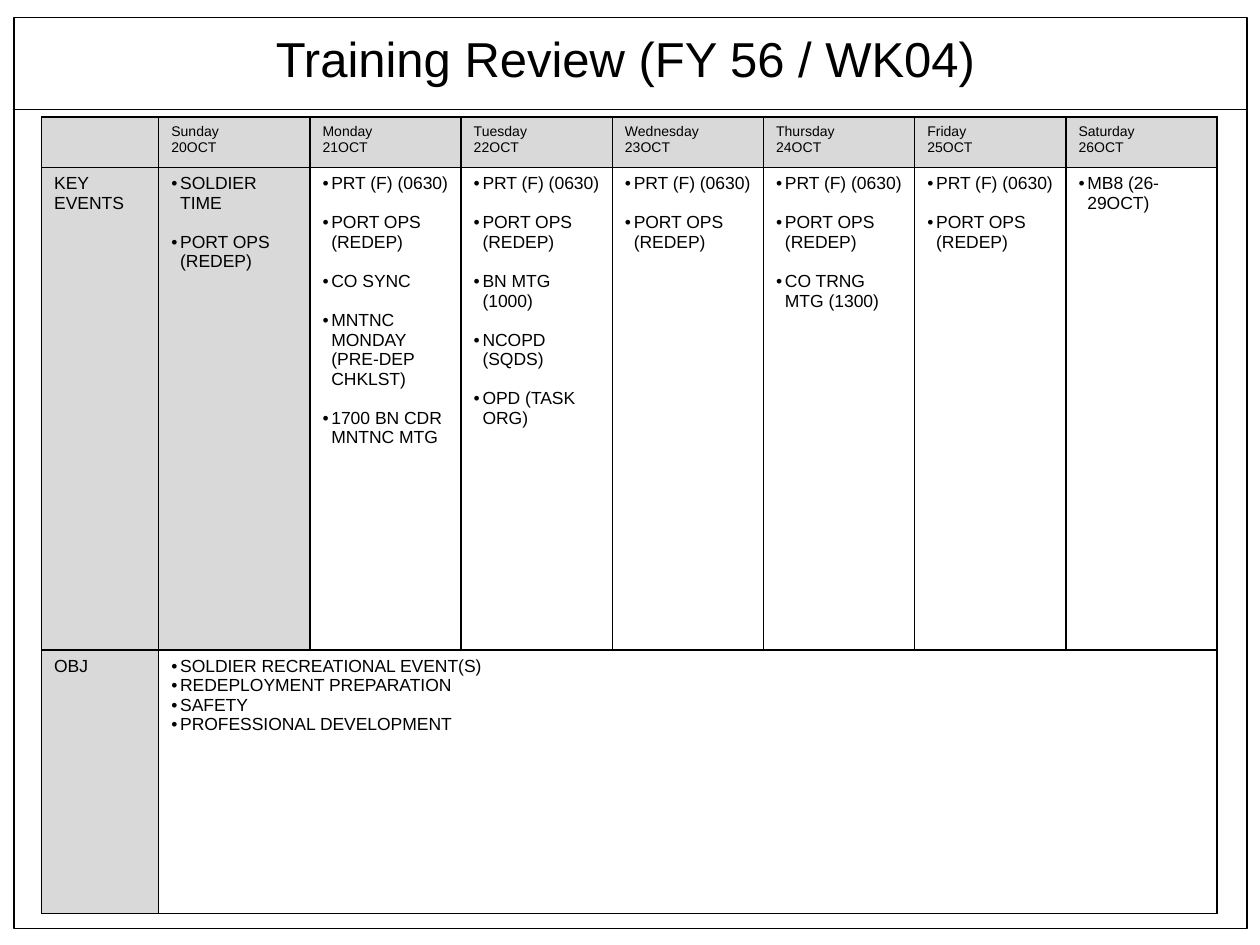
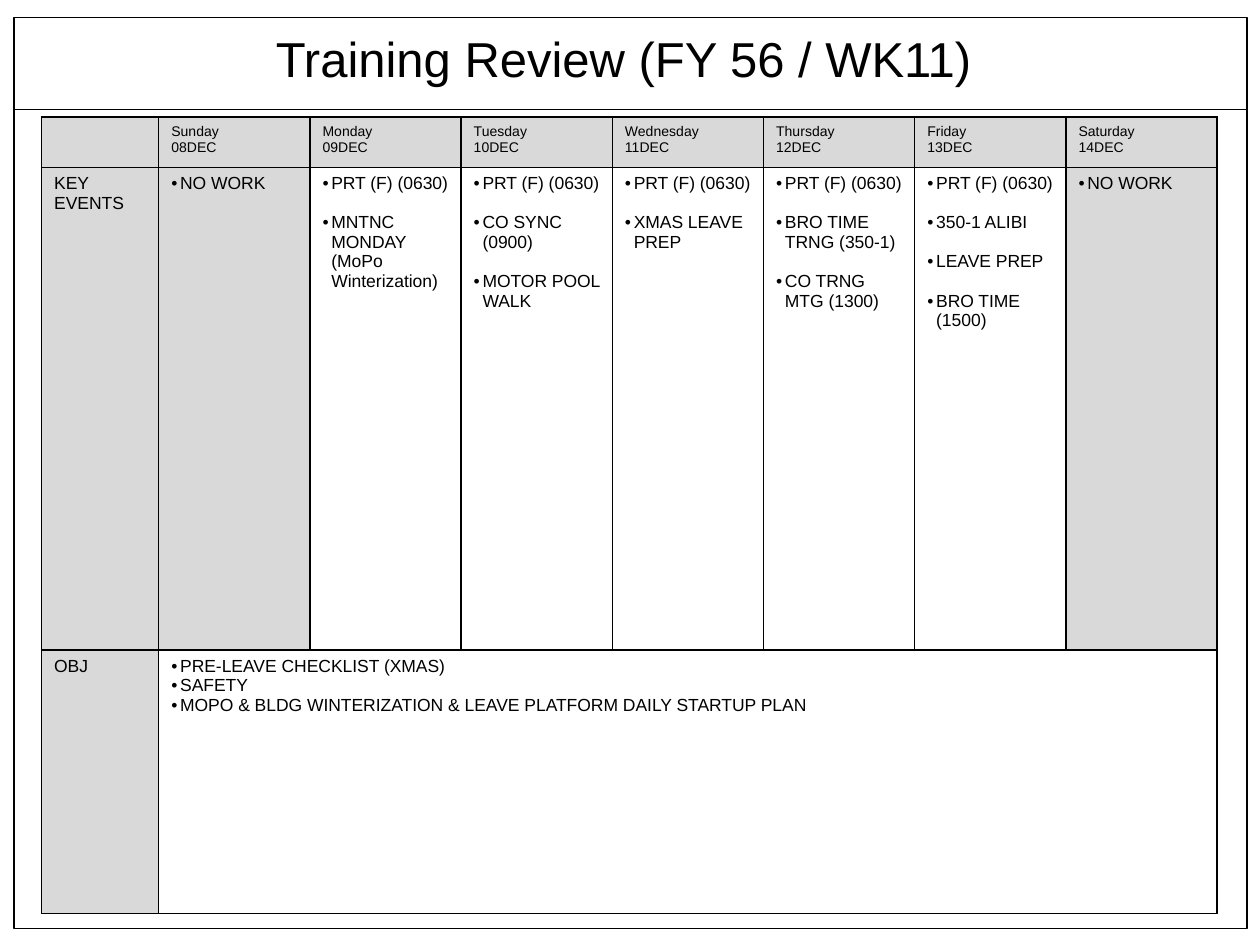
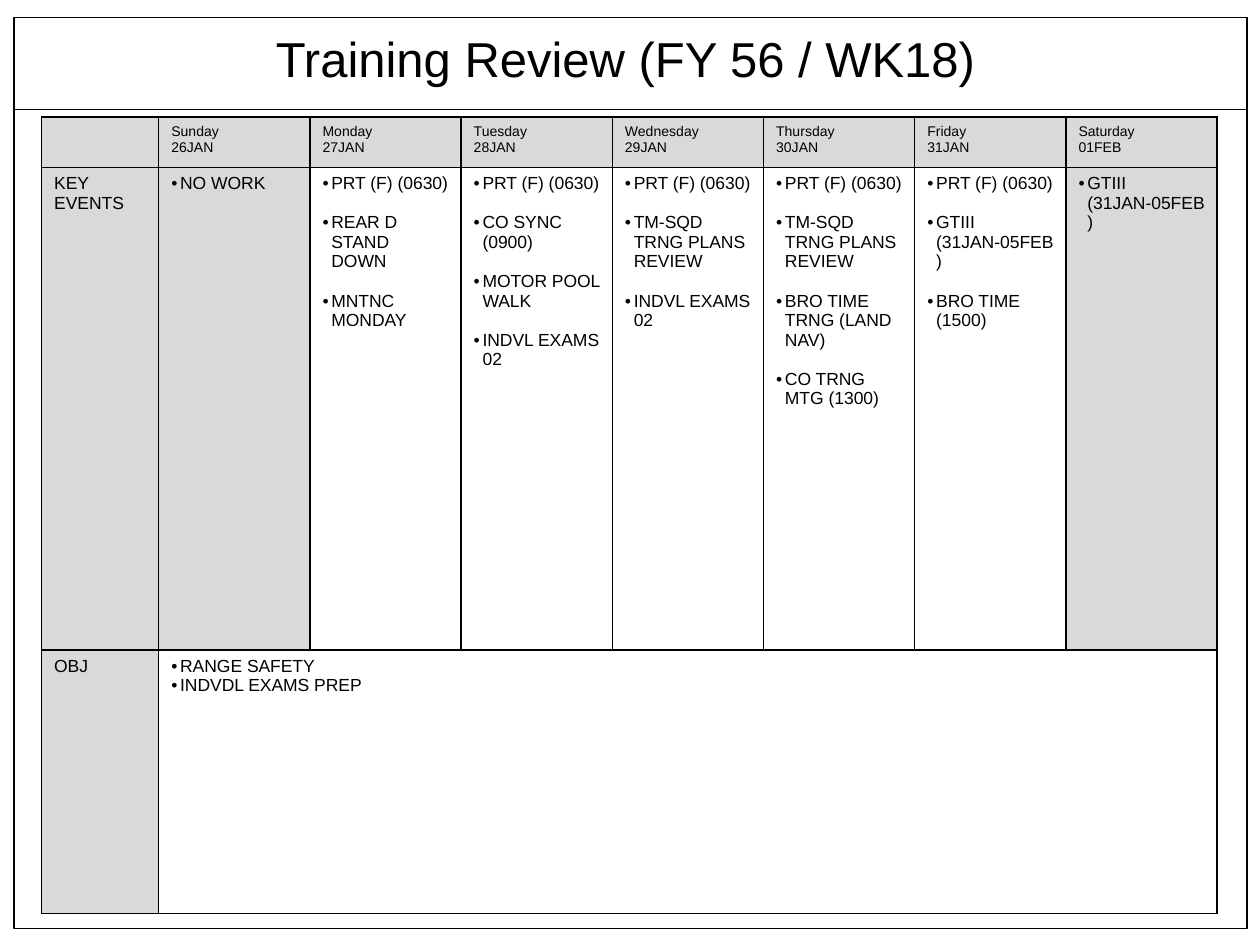
from dataclasses import dataclass

from lxml.etree import SubElement
from pptx import Presentation
from pptx.dml.color import RGBColor
from pptx.enum.shapes import MSO_CONNECTOR, MSO_SHAPE
from pptx.enum.text import MSO_ANCHOR, MSO_AUTO_SIZE, PP_ALIGN
from pptx.oxml.ns import qn
from pptx.util import Inches, Pt


@dataclass(frozen=True)
class Theme:
    font: str = "Arial"
    ink: RGBColor = RGBColor(0x00, 0x00, 0x00)
    paper: RGBColor = RGBColor(0xFF, 0xFF, 0xFF)
    shade: RGBColor = RGBColor(0xD9, 0xD9, 0xD9)
    title_size: float = 28
    date_size: float = 8
    event_size: float = 10
    event_gap: float = 11.2
    line_width: float = 1


DAYS = ["Sunday", "Monday", "Tuesday", "Wednesday", "Thursday", "Friday", "Saturday"]
LABEL_WIDTH = 0.93
DAY_WIDTH = 1.2
ROW_HEIGHTS = [0.37, 3.83, 2.09]
PRT = "PRT (F) (0630)"
PORT_OPS = "PORT OPS (REDEP)"
COMPANY_MEETING = "CO TRNG MTG (1300)"

WEEKS = [
    {
        "number": "04",
        "dates": ["20OCT", "21OCT", "22OCT", "23OCT", "24OCT", "25OCT", "26OCT"],
        "shaded_days": ["Sunday"],
        "events": [
            ["SOLDIER TIME", PORT_OPS],
            [PRT, PORT_OPS, "CO SYNC", "MNTNC MONDAY (PRE-DEP CHKLST)",
             "1700 BN CDR MNTNC MTG"],
            [PRT, PORT_OPS, "BN MTG (1000)", "NCOPD (SQDS)", "OPD (TASK ORG)"],
            [PRT, PORT_OPS],
            [PRT, PORT_OPS, COMPANY_MEETING],
            [PRT, PORT_OPS],
            ["MB8 (26-29OCT)"],
        ],
        "objectives": ["SOLDIER RECREATIONAL EVENT(S)", "REDEPLOYMENT PREPARATION",
                       "SAFETY", "PROFESSIONAL DEVELOPMENT"],
    },
    {
        "number": "11",
        "dates": ["08DEC", "09DEC", "10DEC", "11DEC", "12DEC", "13DEC", "14DEC"],
        "shaded_days": ["Sunday", "Saturday"],
        "events": [
            ["NO WORK"],
            [PRT, "MNTNC MONDAY (MoPo Winterization)"],
            [PRT, "CO SYNC (0900)", "MOTOR POOL WALK"],
            [PRT, "XMAS LEAVE PREP"],
            [PRT, "BRO TIME TRNG (350-1)", COMPANY_MEETING],
            [PRT, "350-1 ALIBI", "LEAVE PREP", "BRO TIME (1500)"],
            ["NO WORK"],
        ],
        "objectives": ["PRE-LEAVE CHECKLIST (XMAS)", "SAFETY",
                       "MOPO & BLDG WINTERIZATION & LEAVE PLATFORM DAILY STARTUP PLAN"],
    },
    {
        "number": "18",
        "dates": ["26JAN", "27JAN", "28JAN", "29JAN", "30JAN", "31JAN", "01FEB"],
        "shaded_days": ["Sunday", "Saturday"],
        "events": [
            ["NO WORK"],
            [PRT, "REAR D STAND DOWN", "MNTNC MONDAY"],
            [PRT, "CO SYNC (0900)", "MOTOR POOL WALK", "INDVL EXAMS 02"],
            [PRT, "TM-SQD TRNG PLANS REVIEW", "INDVL EXAMS 02"],
            [PRT, "TM-SQD TRNG PLANS REVIEW", "BRO TIME TRNG (LAND NAV)",
             COMPANY_MEETING],
            [PRT, "GTIII (31JAN-05FEB)", "BRO TIME (1500)"],
            ["GTIII (31JAN-05FEB)"],
        ],
        "objectives": ["RANGE SAFETY", "INDVDL EXAMS PREP"],
    },
]


def add_bullet(para):
    properties = para._p.get_or_add_pPr()
    properties.set("marL", str(Inches(0.07)))
    properties.set("indent", str(-Inches(0.07)))
    SubElement(properties, qn("a:buFont")).set("typeface", "Arial")
    SubElement(properties, qn("a:buChar")).set("char", "•")


def add_borders(cell, color, width):
    properties = cell._tc.get_or_add_tcPr()
    for side in ("lnL", "lnR", "lnT", "lnB"):
        border = SubElement(properties, qn(f"a:{side}"), w=str(Pt(width)))
        fill = SubElement(border, qn("a:solidFill"))
        SubElement(fill, qn("a:srgbClr")).set("val", str(color))


class ReviewDeck:
    def __init__(self, theme):
        self.theme = theme
        self.deck = Presentation()
        self.deck.slide_width = Inches(10)
        self.deck.slide_height = Inches(7.5)
        self.page = None

    def set_text(self, frame, lines, size, bullet=False, gap=0):
        """Fill a text frame with one paragraph per line."""
        for index, line in enumerate(lines):
            para = frame.add_paragraph() if index else frame.paragraphs[0]
            para.alignment = PP_ALIGN.LEFT
            para.space_before = Pt(gap if index else 0)
            if bullet:
                add_bullet(para)
            span = para.add_run()
            span.text = line
            span.font.name = self.theme.font
            span.font.size = Pt(size)
            span.font.color.rgb = self.theme.ink

    def add_page(self, title):
        self.page = self.deck.slides.add_slide(self.deck.slide_layouts[5])
        self.add_frame()
        box = self.page.shapes.title
        box.left, box.top = Inches(2.09), Inches(0.18)
        box.width, box.height = Inches(5.82), Inches(0.57)
        frame = box.text_frame
        frame.word_wrap = False
        frame.auto_size = MSO_AUTO_SIZE.SHAPE_TO_FIT_TEXT
        frame.vertical_anchor = MSO_ANCHOR.TOP
        self.set_text(frame, [title], self.theme.title_size)

    def add_frame(self):
        """Draw the page border and the rule under the title."""
        shapes = self.page.shapes
        border = shapes.add_shape(MSO_SHAPE.RECTANGLE, Inches(0.11), Inches(0.14),
                                  Inches(9.79), Inches(7.23))
        border.shadow.inherit = False
        border.fill.background()
        rule = shapes.add_connector(MSO_CONNECTOR.STRAIGHT, Inches(0.1), Inches(0.87),
                                    Inches(9.89), Inches(0.87))
        for item in (border, rule):
            item.line.color.rgb = self.theme.ink
            item.line.width = Pt(self.theme.line_width)
        SubElement(rule._element.spPr, qn("a:effectLst"))

    def style_cell(self, cell, shaded):
        add_borders(cell, self.theme.ink, self.theme.line_width)
        cell.fill.solid()
        cell.fill.fore_color.rgb = self.theme.shade if shaded else self.theme.paper

    def add_schedule(self, week):
        theme = self.theme
        widths = [LABEL_WIDTH] + [DAY_WIDTH] * len(DAYS)
        table = self.page.shapes.add_table(
            len(ROW_HEIGHTS), len(widths), Inches(0.33), Inches(0.93),
            Inches(sum(widths)), Inches(sum(ROW_HEIGHTS))).table
        table.first_row = table.horz_banding = False
        for column, width in zip(table.columns, widths):
            column.width = Inches(width)
        for row, height in zip(table.rows, ROW_HEIGHTS):
            row.height = Inches(height)

        for row in range(len(ROW_HEIGHTS)):
            for column in range(len(widths)):
                day_off = (row == 1 and column > 0
                           and DAYS[column - 1] in week["shaded_days"])
                self.style_cell(table.cell(row, column),
                                row == 0 or column == 0 or day_off)

        for row, label in enumerate(["KEY EVENTS", "OBJ"], start=1):
            self.set_text(table.cell(row, 0).text_frame, [label], theme.event_size)
        columns = zip(DAYS, week["dates"], week["events"])
        for column, (day, date, events) in enumerate(columns, start=1):
            self.set_text(table.cell(0, column).text_frame, [day, date],
                          theme.date_size)
            self.set_text(table.cell(1, column).text_frame, events, theme.event_size,
                          bullet=True, gap=theme.event_gap)
        objectives = table.cell(2, 1)
        objectives.merge(table.cell(2, len(DAYS)))
        self.set_text(objectives.text_frame, week["objectives"], theme.event_size,
                      bullet=True)


def main():
    review = ReviewDeck(Theme())
    for week in WEEKS:
        review.add_page(f"Training Review (FY 56 / WK{week['number']})")
        review.add_schedule(week)
    review.deck.save("out.pptx")


if __name__ == "__main__":
    main()
